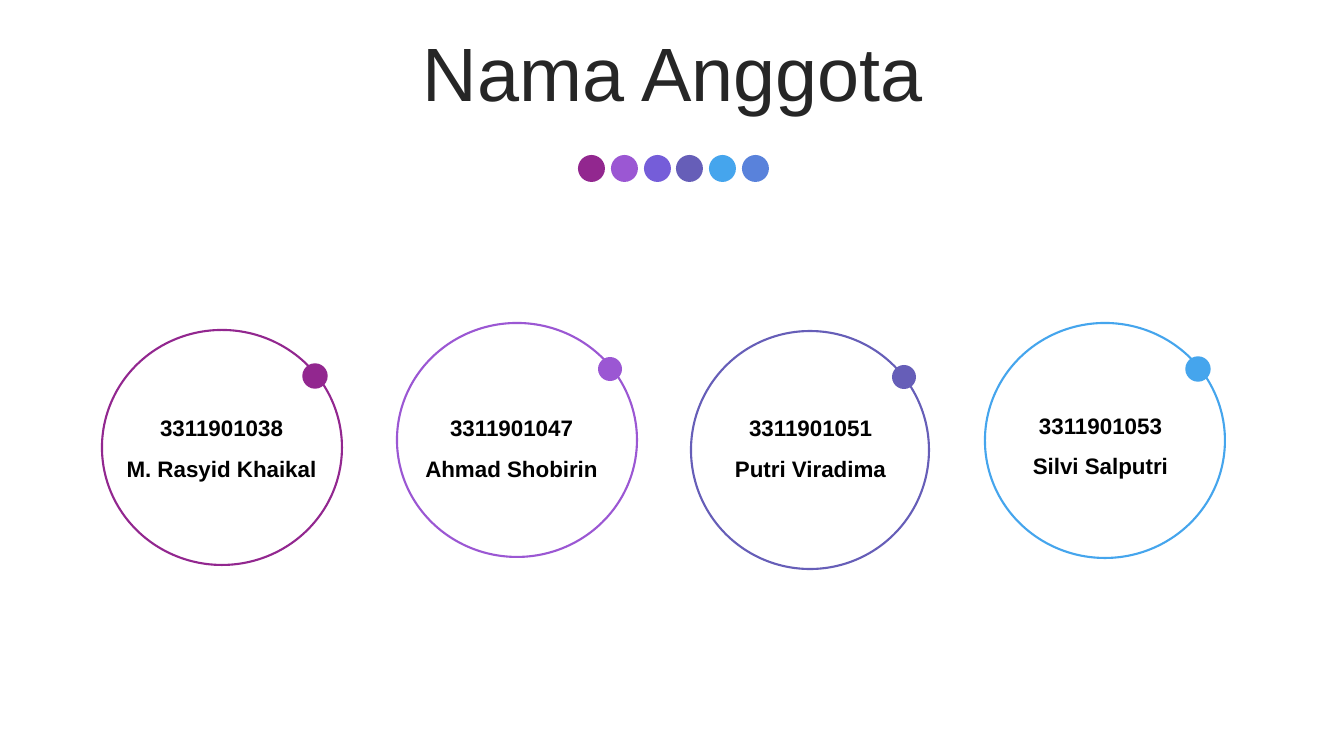
from pptx import Presentation
from pptx.dml.color import RGBColor
from pptx.enum.shapes import MSO_SHAPE
from pptx.enum.text import MSO_ANCHOR, PP_ALIGN
from pptx.util import Emu, Pt

OVAL = MSO_SHAPE.OVAL
CENTER = PP_ALIGN.CENTER
TOP, MIDDLE = MSO_ANCHOR.TOP, MSO_ANCHOR.MIDDLE

PURPLE, VIOLET, INDIGO, SKY = "92278F", "9B57D3", "665EB8", "45A5ED"
ACCENTS = [PURPLE, VIOLET, "755DD9", INDIGO, SKY, "5982DB"]

# ID, name, colour, ring box, label corner, outline width of the dot
MEMBERS = [
    ("3311901038", "M. Rasyid Khaikal", PURPLE, (102, 330, 240, 235), (111, 396), 1),
    ("3311901047", "Ahmad Shobirin", VIOLET, (397, 323, 240, 234), (401, 396), 0),
    ("3311901051", "Putri Viradima", INDIGO, (691, 331, 238, 238), (700, 396), 0),
    ("3311901053", "Silvi Salputri", SKY, (985, 323, 240, 235), (990, 394), 1),
]


def px(length):
    """Turn whole pixels, 100.8 to the inch, into EMU."""
    return Emu(round(length * 914400 / 100.8))


def color(hex_code):
    return RGBColor.from_string(hex_code)


class SlideBuilder:
    font = "Arial"

    def __init__(self, slide):
        self.slide = slide

    def ellipse(self, box, fill=None, line=None, line_width=0):
        oval = self.slide.shapes.add_shape(OVAL, *map(px, box))
        oval.shadow.inherit = False
        if fill:
            oval.fill.solid()
            oval.fill.fore_color.rgb = color(fill)
        else:
            oval.fill.background()
        if line_width:
            oval.line.color.rgb = color(line)
            oval.line.width = Pt(line_width)
        else:
            oval.line.fill.background()

    def text(self, box, lines, size, ink, spacing, bold=False, anchor=TOP):
        frame = self.slide.shapes.add_textbox(*map(px, box)).text_frame
        frame.word_wrap = True
        frame.vertical_anchor = anchor
        for index, line in enumerate(lines):
            paragraph = frame.add_paragraph() if index else frame.paragraphs[0]
            paragraph.alignment = CENTER
            paragraph.line_spacing = spacing
            run = paragraph.add_run()
            run.text = line
            run.font.name = self.font
            run.font.size = Pt(size)
            run.font.bold = bold
            run.font.color.rgb = color(ink)

    def accent_row(self, left, top, size, span):
        """Spread the accent dots evenly, with span from first to last left edge."""
        for index, accent in enumerate(ACCENTS):
            offset = round(index * span / (len(ACCENTS) - 1))
            self.ellipse((left + offset, top, size, size), fill=accent)

    def member(self, number, name, accent, ring, label, dot_outline):
        left, top = ring[:2]
        self.ellipse(ring, line=accent, line_width=1.5)
        self.ellipse((left + 201, top + 34, 24, 24), accent, accent, dot_outline)
        self.text((*label, 221, 92), [number, name], 16, "000000", 1.5, bold=True)


def main():
    presentation = Presentation()
    presentation.slide_width, presentation.slide_height = px(1344), px(756)
    builder = SlideBuilder(presentation.slides.add_slide(presentation.slide_layouts[6]))
    builder.text((35, 37, 1276, 80), ["Nama Anggota"], 54, "262626", 0.9, anchor=MIDDLE)
    builder.accent_row(578, 155, 27, 164)
    for member in MEMBERS:
        builder.member(*member)
    presentation.save("out.pptx")


if __name__ == "__main__":
    main()
